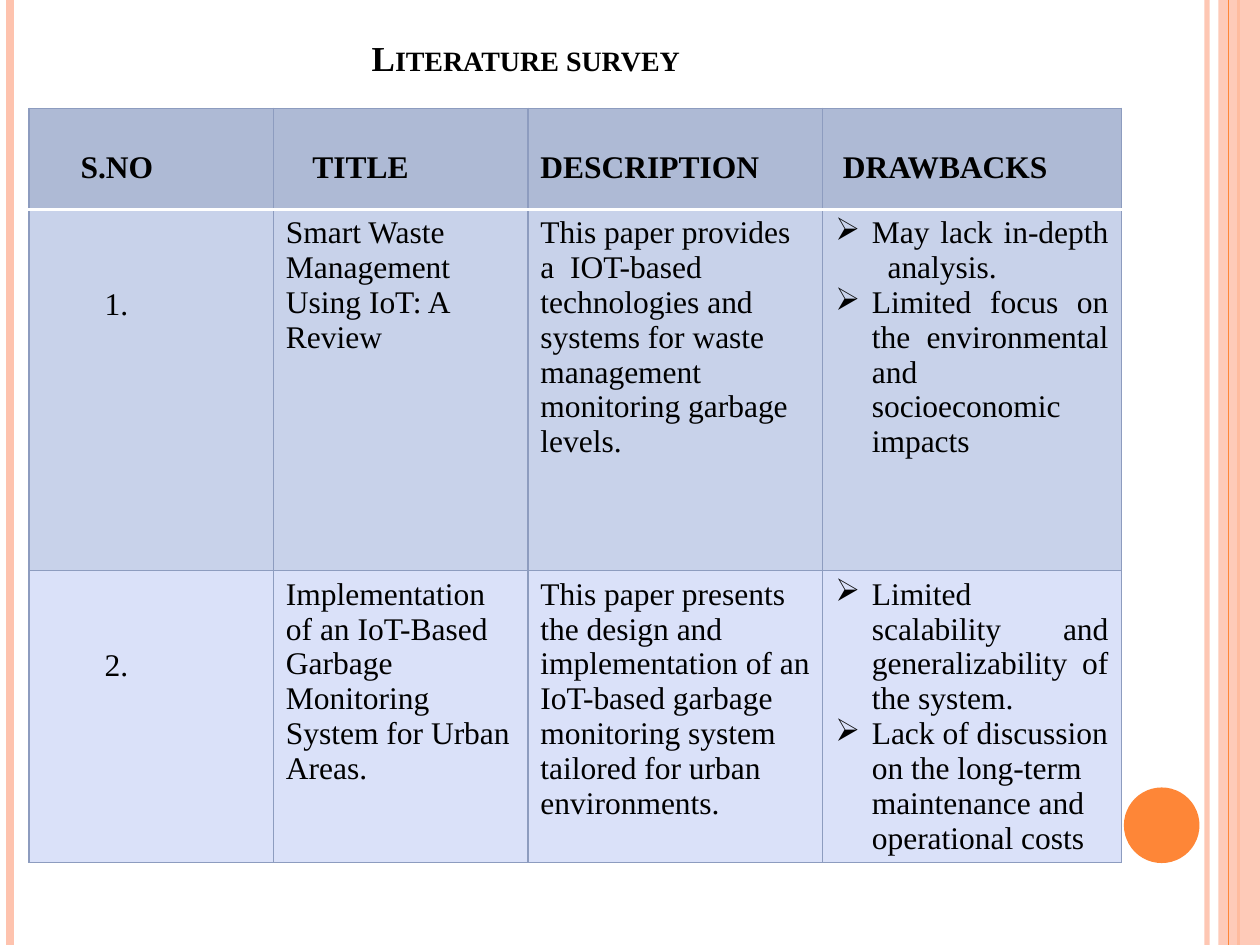
import pptx
import pptx.dml.color
import pptx.enum.shapes
import pptx.enum.text
import pptx.oxml.ns
import pptx.util
from lxml import etree

Inches, Pt = pptx.util.Inches, pptx.util.Pt
Align = pptx.enum.text.PP_ALIGN
Anchor = pptx.enum.text.MSO_ANCHOR
Shape = pptx.enum.shapes.MSO_SHAPE
qn = pptx.oxml.ns.qn

HUES = {
    "peach": "FEC3AE", "orange": "FE8637", "black": "000000",
    "white": "FFFFFF", "edge": "8D9CBF", "head": "AEBAD5",
    "odd": "C8D2EA", "even": "DAE1F9",
}
BODY = {"name": "Times New Roman", "size": Pt(18), "bold": False}
HEAD = {**BODY, "bold": True}
TITLE = {**HEAD, "size": Pt(20)}


def inches(*nums):
    return [Inches(num) for num in nums]


def assign(item, values):
    for key, value in values.items():
        setattr(item, key, value)


def paint(fill, hue, alpha=100):
    fill.solid()
    fill.fore_color.rgb = pptx.dml.color.RGBColor.from_string(HUES[hue])
    if alpha < 100:
        node = next(fill._xPr.iter(qn("a:srgbClr")))
        etree.SubElement(node, qn("a:alpha"), val=str(alpha * 1000))


class Page:
    """Holds the current slide and draws each kind of element on it."""

    def __init__(self, deck):
        self.slide = deck.slides.add_slide(deck.slide_layouts[5])
        self.shapes = self.slide.shapes

    def rule(self, x, hue, width, alpha=100):
        """Draw a line down the whole height of the slide."""
        line = self.shapes.add_connector(
            pptx.enum.shapes.MSO_CONNECTOR.STRAIGHT, *inches(x, 0, x, 7.5))
        line.line.width = Pt(width)
        paint(line.line.fill, hue, alpha)
        etree.SubElement(line._element.spPr, qn("a:effectLst"))

    def shape(self, kind, box, hue, alpha=100):
        item = self.shapes.add_shape(kind, *inches(*box))
        item.shadow.inherit = False
        item.line.fill.background()
        paint(item.fill, hue, alpha)

    def text(self, para, words, style):
        run = para.add_run()
        run.text = words
        assign(run.font, style)
        paint(run.font.fill, "black")
        return run

    def title(self, words, box, left):
        item = self.shapes.title
        assign(item, dict(zip(("left", "top", "width", "height"),
                              inches(*box))))
        assign(item.text_frame, {
            "auto_size": pptx.enum.text.MSO_AUTO_SIZE.NONE,
            "vertical_anchor": Anchor.BOTTOM, "word_wrap": True,
            "margin_left": Inches(left), "margin_bottom": Inches(0.08)})
        para = item.text_frame.paragraphs[0]
        para.alignment = Align.LEFT
        run = self.text(para, words, TITLE)
        run.font._element.set("cap", "small")

    def border(self, cell, side, hue, width):
        line = etree.SubElement(cell._tc.get_or_add_tcPr(),
                                qn("a:ln" + side), w=str(Pt(width)))
        fill = etree.SubElement(line, qn("a:solidFill"))
        etree.SubElement(fill, qn("a:srgbClr"), val=HUES[hue])

    def bullet(self, para):
        props = para._p.get_or_add_pPr()
        props.set("marL", str(Inches(0.29)))
        props.set("indent", str(Inches(-0.29)))
        etree.SubElement(props, qn("a:buChar"), char="➢")

    def cell(self, cell, items, row, inset):
        """Fill one cell; a list of (words, alignment) becomes bullets."""
        for side in "LRTB":
            white = (row, side) in ((0, "B"), (1, "T"))
            self.border(cell, side, *(("white", 2) if white else ("edge", 1)))
        paint(cell.fill, ("head", "odd", "even")[row])
        left, top = inset
        assign(cell, {"margin_left": Inches(0.1 + left),
                      "margin_top": Inches(0.05 + top),
                      "vertical_anchor": Anchor.TOP})
        listed = isinstance(items, list)
        for num, (words, align) in enumerate(
                items if listed else [(items, Align.LEFT)]):
            frame = cell.text_frame
            para = frame.add_paragraph() if num else frame.paragraphs[0]
            para.alignment = align
            if listed:
                self.bullet(para)
            self.text(para, words, BODY if row else HEAD)

    def table(self, spot, cols, rows, data, insets):
        grid = self.shapes.add_table(
            len(rows), len(cols), *inches(*spot, sum(cols), sum(rows))).table
        grid.horz_banding = False
        for col, width in zip(grid.columns, cols):
            col.width = Inches(width)
        for row, height in zip(grid.rows, rows):
            row.height = Inches(height)
        for r, texts in enumerate(data):
            for c, items in enumerate(texts):
                self.cell(grid.cell(r, c), items, r,
                          insets.get((r, c), (0, 0)))


SURVEY = [
    ["S.NO", "TITLE", "DESCRIPTION", "DRAWBACKS"],
    ["1.",
     "Smart Waste Management Using IoT: A Review",
     "This paper provides a  IOT-based technologies and systems for waste "
     "management monitoring garbage levels.",
     [("May lack in-depth   analysis.", Align.JUSTIFY),
      ("Limited focus on the environmental and socioeconomic impacts",
       Align.JUSTIFY)]],
    ["2.",
     "Implementation of an IoT-Based Garbage Monitoring System for Urban "
     "Areas.",
     "This paper presents the design and implementation of an IoT-based "
     "garbage monitoring system tailored for urban environments.",
     [("Limited scalability and generalizability of the system.",
       Align.JUSTIFY),
      ("Lack of discussion on the long-term maintenance and operational "
       "costs", Align.LEFT)]],
]
# Extra left and top margin by (row, column)
INSETS = {(0, 0): (0.31, 0.28), (0, 1): (0.21, 0.28), (0, 2): (0, 0.28),
          (0, 3): (0.06, 0.28), (1, 0): (0.5, 0.57), (2, 0): (0.5, 0.57)}


def main():
    deck = pptx.Presentation()
    deck.slide_width, deck.slide_height = inches(10, 7.5)
    page = Page(deck)
    page.rule(9.58, "peach", 3, 93)
    page.rule(0.08, "peach", 4.5)
    page.rule(9.83, "orange", 1.5)
    page.shape(Shape.RECTANGLE, (9.67, 0, 0.33, 7.5), "peach", 87)
    page.rule(9.75, "orange", 0.75)
    page.shape(Shape.OVAL, (8.92, 6.25, 0.6, 0.6), "orange")
    page.title("Literature survey", (0.47, 0, 8.17, 0.7), 2.48)
    page.table((0.23, 0.86), (1.94, 2.02, 2.34, 2.37), (0.8, 2.87, 2.31),
               SURVEY, INSETS)
    deck.save("out.pptx")


if __name__ == "__main__":
    main()
